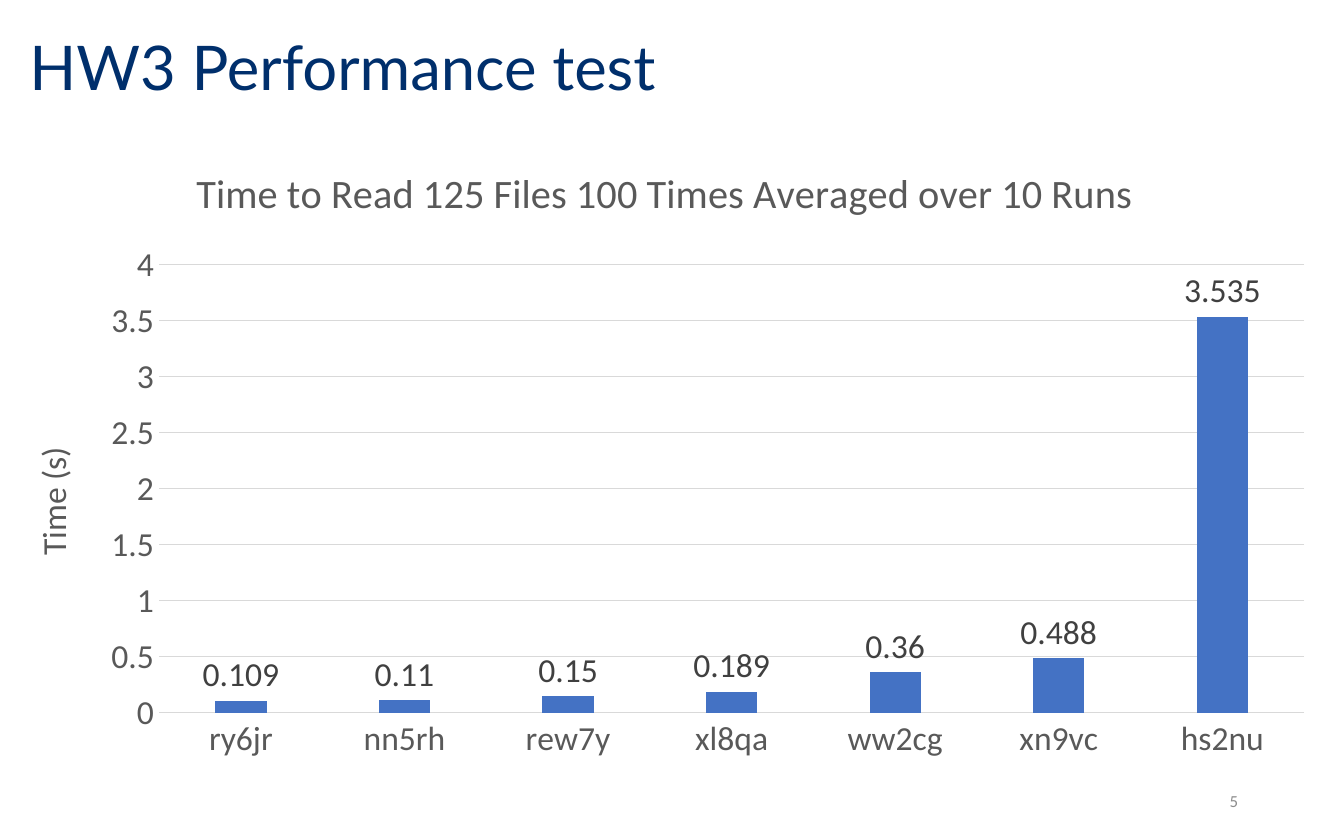
from dataclasses import dataclass

from pptx import Presentation
from pptx.chart.data import CategoryChartData
from pptx.dml.color import RGBColor as RGB
from pptx.enum.chart import XL_CHART_TYPE as ChartType
from pptx.enum.chart import XL_LABEL_POSITION as LabelPos
from pptx.enum.chart import XL_TICK_MARK as Tick
from pptx.enum.text import MSO_ANCHOR as Anchor
from pptx.enum.text import PP_ALIGN as Align
from pptx.util import Cm, Pt


@dataclass(frozen=True)
class Theme:
    heading_font: str = "Lato"
    body_font: str = "Calibri"
    navy: RGB = RGB(0x00, 0x2F, 0x6C)
    bar: RGB = RGB(0x44, 0x72, 0xC4)
    label: RGB = RGB(0x40, 0x40, 0x40)
    axis: RGB = RGB(0x59, 0x59, 0x59)
    number: RGB = RGB(0x8C, 0x8C, 0x8C)
    grid: RGB = RGB(0xD9, 0xD9, 0xD9)
    heading_size: float = 33
    chart_title_size: float = 21.6
    chart_size: float = 18
    number_size: float = 9
    line_width: float = 0.75


@dataclass(frozen=True)
class Box:
    left: float
    top: float
    width: float
    height: float

    def lengths(self) -> tuple:
        return Cm(self.left), Cm(self.top), Cm(self.width), Cm(self.height)


@dataclass(frozen=True)
class Timing:
    user: str
    seconds: float


THEME = Theme()
TITLE_BOX = Box(0.3, 0.25, 21.64, 2.18)
NUMBER_BOX = Box(17.93, 14.71, 5.72, 0.84)
CHART_BOX = Box(0, 2.59, 25.15, 11.99)
TIMINGS = [
    Timing("ry6jr", 0.109),
    Timing("nn5rh", 0.11),
    Timing("rew7y", 0.15),
    Timing("xl8qa", 0.189),
    Timing("ww2cg", 0.36),
    Timing("xn9vc", 0.488),
    Timing("hs2nu", 3.535),
]


def style_font(font, size: float, color: RGB, name: str = THEME.body_font) -> None:
    font.size = Pt(size)
    font.name = name
    font.bold = False
    font.color.rgb = color


def style_line(line) -> None:
    line.color.rgb = THEME.grid
    line.width = Pt(THEME.line_width)


def write(tf, text: str, size: float, color: RGB, name: str = THEME.body_font):
    """Put one styled run in the first paragraph and return that paragraph."""
    p = tf.paragraphs[0]
    r = p.add_run()
    r.text = text
    style_font(r.font, size, color, name)
    return p


def add_heading(s, text: str) -> None:
    sp = s.shapes.title
    sp.left, sp.top, sp.width, sp.height = TITLE_BOX.lengths()
    tf = sp.text_frame
    tf.vertical_anchor = Anchor.MIDDLE
    p = write(tf, text, THEME.heading_size, THEME.navy, THEME.heading_font)
    p.alignment = Align.LEFT
    p.line_spacing = 0.9


def add_page_number(s, number: str) -> None:
    tf = s.shapes.add_textbox(*NUMBER_BOX.lengths()).text_frame
    tf.word_wrap = True
    tf.vertical_anchor = Anchor.MIDDLE
    write(tf, number, THEME.number_size, THEME.number).alignment = Align.RIGHT


def add_timing_chart(s, timings: list[Timing]) -> None:
    data = CategoryChartData()
    data.categories = [t.user for t in timings]
    data.add_series("Series 1", [t.seconds for t in timings])
    frame = s.shapes.add_chart(ChartType.COLUMN_CLUSTERED, *CHART_BOX.lengths(), data)
    chart = frame.chart
    style_font(chart.font, THEME.chart_size, THEME.axis)
    chart.has_legend = False
    chart.has_title = True
    write(chart.chart_title.text_frame,
          "Time to Read 125 Files 100 Times Averaged over 10 Runs",
          THEME.chart_title_size, THEME.axis)
    chart.chart_title.include_in_layout = False

    users, seconds = chart.category_axis, chart.value_axis
    for axis in (users, seconds):
        axis.major_tick_mark = axis.minor_tick_mark = Tick.NONE
        style_font(axis.tick_labels.font, THEME.chart_size, THEME.axis)
    style_line(users.format.line)
    seconds.format.line.fill.background()
    style_line(seconds.major_gridlines.format.line)
    seconds.minimum_scale, seconds.maximum_scale, seconds.major_unit = 0, 4, 0.5
    write(seconds.axis_title.text_frame, "Time (s)", THEME.chart_size, THEME.axis)

    plot = chart.plots[0]
    plot.vary_by_categories = False
    plot.gap_width, plot.overlap = 219, -27
    fill = plot.series[0].format.fill
    fill.solid()
    fill.fore_color.rgb = THEME.bar
    plot.has_data_labels = True
    labels = plot.data_labels
    labels.show_value = True
    labels.position = LabelPos.OUTSIDE_END
    style_font(labels.font, THEME.chart_size, THEME.label)


def main() -> None:
    prs = Presentation()
    prs.slide_width, prs.slide_height = Cm(25.4), Cm(15.875)
    s = prs.slides.add_slide(prs.slide_layouts[5])
    add_heading(s, "HW3 Performance test")
    add_page_number(s, "5")
    add_timing_chart(s, TIMINGS)
    prs.save("out.pptx")


if __name__ == "__main__":
    main()
